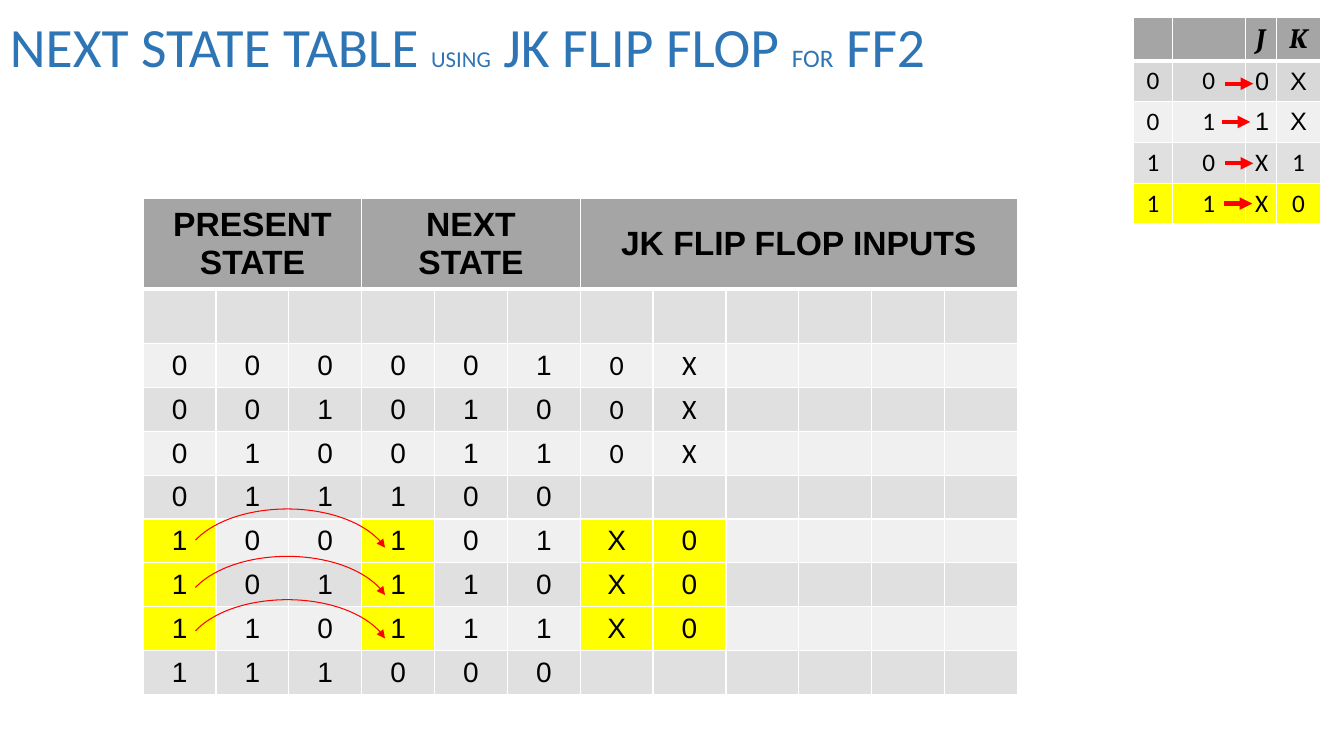
from lxml import etree
from pptx import Presentation
from pptx.dml.color import RGBColor
from pptx.enum.shapes import MSO_CONNECTOR, MSO_SHAPE
from pptx.enum.text import MSO_ANCHOR, PP_ALIGN
from pptx.oxml.ns import qn
from pptx.util import Inches, Pt

STRAIGHT = MSO_CONNECTOR.STRAIGHT
ARC = MSO_SHAPE.ARC
MIDDLE = MSO_ANCHOR.MIDDLE
CENTER = PP_ALIGN.CENTER

WHITE, BLACK, RED, BLUE = "FFFFFF", "000000", "FF0000", "2E75B5"
HEADER, DARK, LIGHT, FIRST, YELLOW = "A5A5A5", "E0E0E0", "F0F0F0", "D8D8D8", "FFFF00"

STATE_COLUMNS = 12
STATE_COLUMN = 8.67 / STATE_COLUMNS
STATE_ROW = 3.48 / 8
STATE_LEFT, STATE_TOP = 1.42, 1.97
STATE_HEADINGS = [("PRESENT STATE", 0, 2), ("NEXT STATE", 3, 5), ("JK FLIP FLOP INPUTS", 6, 11)]
STATE_ROWS = ["", "0000010X", "0010100X", "0100110X", "011100",
              "100101X0", "101110X0", "110111X0", "111000"]
HELD_ROWS = (6, 7, 8)
HELD_COLUMNS = (0, 3, 6, 7)

JK_LEFT, JK_TOP = 11.24, 0.17
JK_COLUMNS = [0.39, 0.72, 0.31, 0.44]
JK_ROW = 1.62 / 4
JK_ROWS = [("000X", FIRST), ("011X", LIGHT), ("10X1", DARK), ("11X0", YELLOW)]
JK_ARROWS = [(12.15, 0.83), (12.12, 1.21), (12.15, 1.62), (12.14, 2.02)]
ARC_TOPS = [5.05, 5.52, 5.95]


def color(value):
    return RGBColor.from_string(value)


def style_span(span, size, font, ink, bold=False, italic=False):
    span.font.size = Pt(size)
    span.font.name = font
    span.font.color.rgb = color(ink)
    span.font.bold = bold
    span.font.italic = italic


def add_title(page, parts):
    box = page.shapes.add_textbox(0, 0, Inches(9.99), Inches(0.99))
    frame = box.text_frame
    frame.word_wrap = True
    frame.vertical_anchor = MIDDLE
    para = frame.paragraphs[0]
    para.line_spacing = 0.9
    for text, size in parts:
        span = para.add_run()
        span.text = text
        style_span(span, size, "Calibri", BLUE)


def add_grid(page, left, top, columns, rows):
    frame = page.shapes.add_table(len(rows), len(columns), Inches(left), Inches(top),
                                  Inches(sum(columns)), Inches(sum(rows)))
    table = frame.table
    table.first_row = False
    table.horz_banding = False
    for column, width in zip(table.columns, columns):
        column.width = Inches(width)
    for row, height in zip(table.rows, rows):
        row.height = Inches(height)
    return table


def paint_cell(cell, fill, bottom=1):
    properties = cell._tc.get_or_add_tcPr()
    for side, width in (("L", 1), ("R", 1), ("T", 1), ("B", bottom)):
        border = etree.SubElement(properties, qn("a:ln" + side), w=str(Pt(width)))
        solid = etree.SubElement(border, qn("a:solidFill"))
        etree.SubElement(solid, qn("a:srgbClr"), val=WHITE)
    cell.fill.solid()
    cell.fill.fore_color.rgb = color(fill)


def write_cell(cell, text, size, font, bold=False, italic=False):
    cell.text_frame.text = text
    cell.vertical_anchor = MIDDLE
    para = cell.text_frame.paragraphs[0]
    para.alignment = CENTER
    for span in para.runs:
        style_span(span, size, font, BLACK, bold, italic)


def add_state_table(page):
    heights = [0.9, 0.54] + [STATE_ROW] * 8
    table = add_grid(page, STATE_LEFT, STATE_TOP, [STATE_COLUMN] * STATE_COLUMNS, heights)
    for column in range(STATE_COLUMNS):
        paint_cell(table.cell(0, column), HEADER, 3)
    for heading, first, last in STATE_HEADINGS:
        table.cell(0, first).merge(table.cell(0, last))
        write_cell(table.cell(0, first), heading, 24, "Arial", bold=True)
    for row, values in enumerate(STATE_ROWS, 1):
        band = DARK if row % 2 else LIGHT
        for column in range(STATE_COLUMNS):
            held = row in HELD_ROWS and column in HELD_COLUMNS
            paint_cell(table.cell(row, column), YELLOW if held else band)
        for column, value in enumerate(values):
            font = "Calibri" if column > 5 and row not in HELD_ROWS else "Arial"
            write_cell(table.cell(row, column), value, 20, font)


def add_jk_table(page):
    table = add_grid(page, JK_LEFT, JK_TOP, JK_COLUMNS, [0.43] + [JK_ROW] * 4)
    for column in range(len(JK_COLUMNS)):
        paint_cell(table.cell(0, column), HEADER, 3)
    for column, name in ((2, "J"), (3, "K")):
        write_cell(table.cell(0, column), name, 20, "Cambria", bold=True, italic=True)
    for row, (values, fill) in enumerate(JK_ROWS, 1):
        for column, value in enumerate(values):
            paint_cell(table.cell(row, column), fill)
            font = "Arial" if row < 3 and column > 1 else "Calibri"
            write_cell(table.cell(row, column), value, 18, font)


def style_arrow(shape, width):
    shape.line.color.rgb = color(RED)
    shape.line.width = Pt(width)
    line = shape.element.spPr.find(qn("a:ln"))
    etree.SubElement(line, qn("a:tailEnd"), type="triangle")


def add_arrow(page, left, top):
    arrow = page.shapes.add_connector(STRAIGHT, Inches(left), Inches(top),
                                      Inches(left + 0.28), Inches(top))
    style_arrow(arrow, 3)
    etree.SubElement(arrow.element.spPr, qn("a:effectLst"))


def add_transition_arc(page, top):
    arc = page.shapes.add_shape(ARC, Inches(1.82), Inches(top), Inches(2.06), Inches(1.16))
    arc.adjustments[0] = 117.94
    arc.adjustments[1] = 209.15
    arc.shadow.inherit = False
    arc.fill.background()
    style_arrow(arc, 0.75)


def main():
    deck = Presentation()
    deck.slide_width = Inches(13.33)
    deck.slide_height = Inches(7.5)
    page = deck.slides.add_slide(deck.slide_layouts[6])
    add_title(page, [("NEXT STATE TABLE ", 39.6), ("USING", 16.2), (" JK FLIP FLOP ", 39.6),
                     ("FOR", 18), (" FF2", 39.6)])
    add_state_table(page)
    add_jk_table(page)
    for left, top in JK_ARROWS:
        add_arrow(page, left, top)
    for top in ARC_TOPS:
        add_transition_arc(page, top)
    deck.save("out.pptx")


if __name__ == "__main__":
    main()
